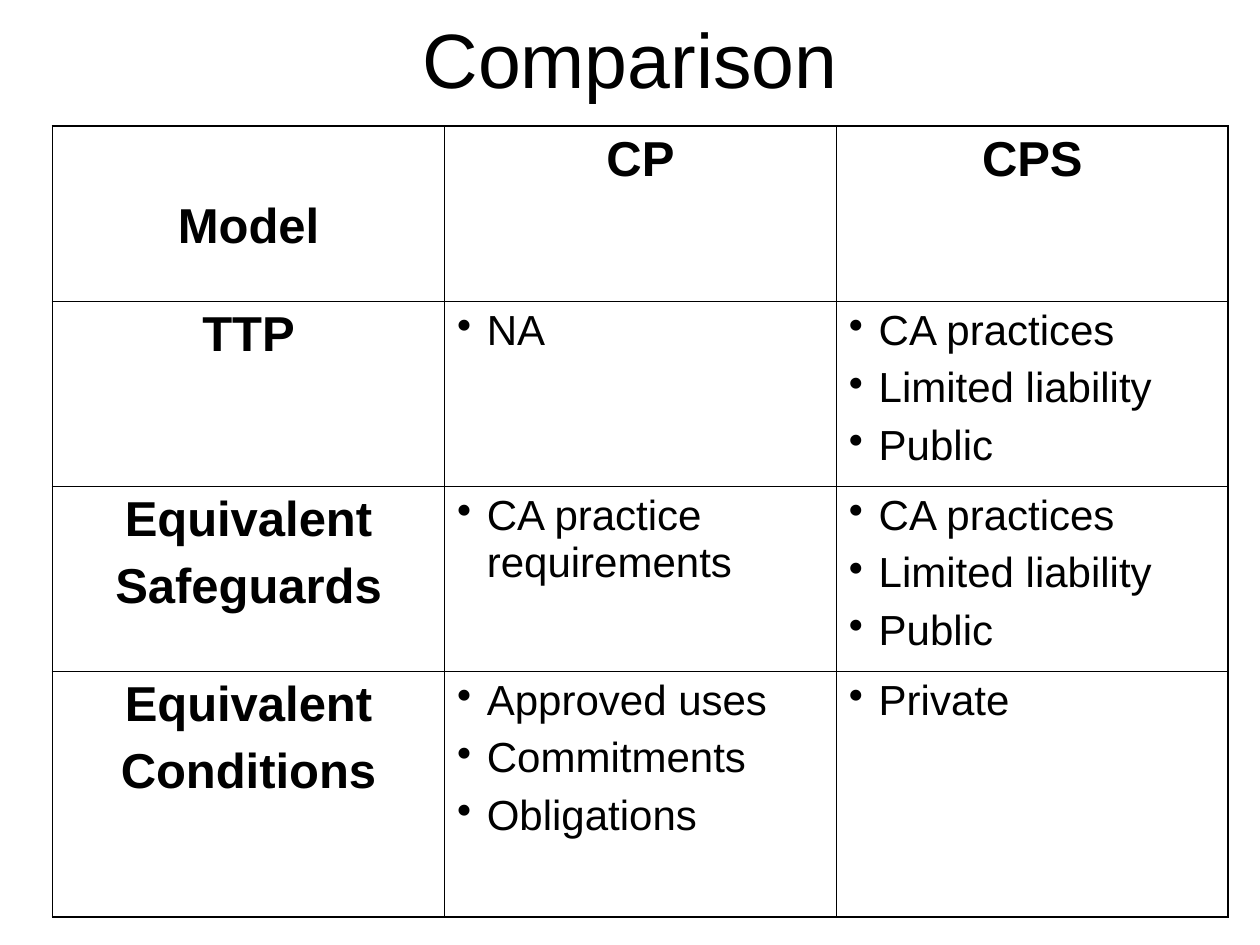
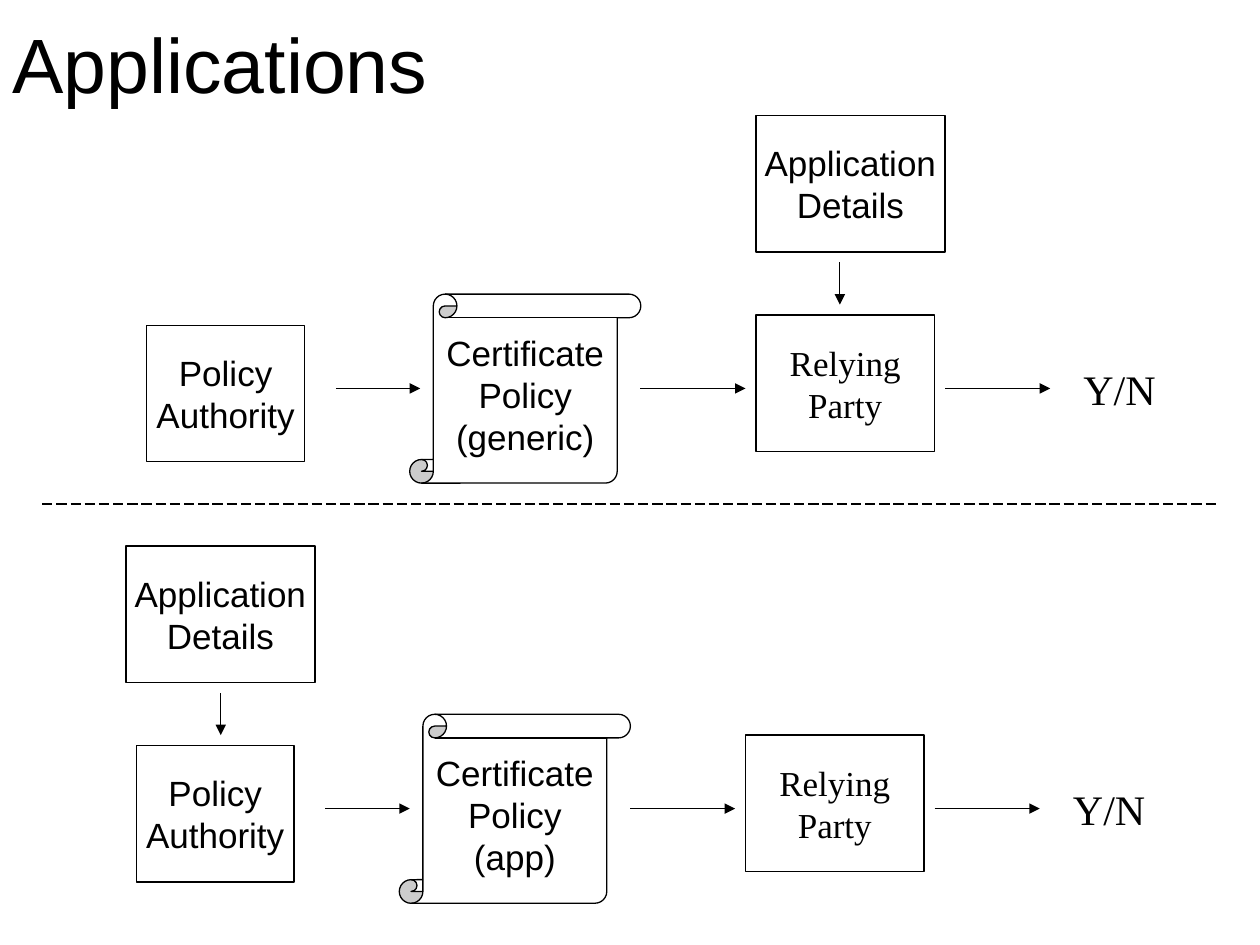
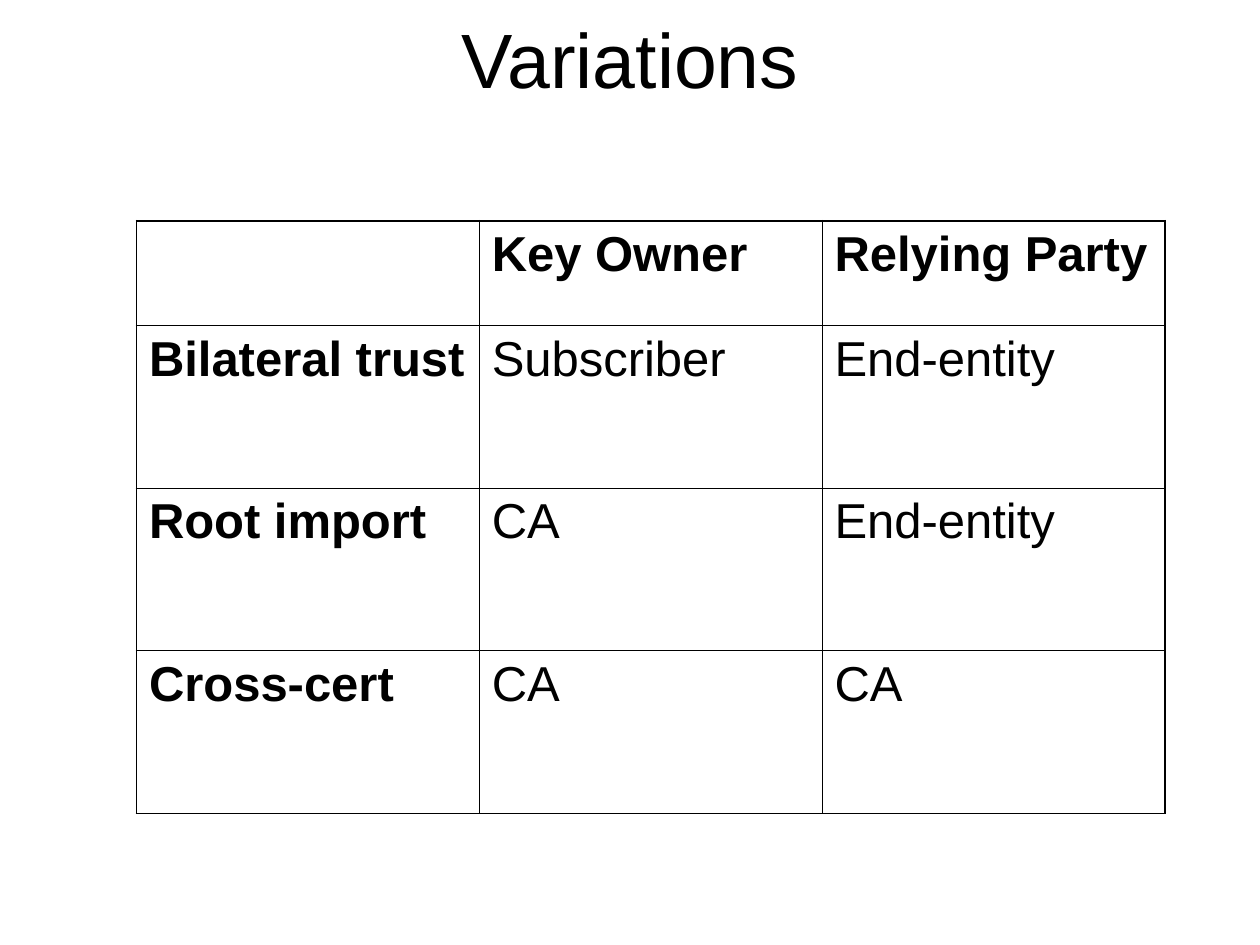
from lxml.etree import SubElement
from pptx import Presentation
from pptx.dml.color import RGBColor
from pptx.enum.dml import MSO_LINE_DASH_STYLE as Dash
from pptx.enum.shapes import MSO_CONNECTOR as Connector, MSO_SHAPE as Shape
from pptx.enum.text import MSO_ANCHOR as Anchor, PP_ALIGN as Align
from pptx.oxml.ns import qn
from pptx.util import Cm, Pt

BLACK, WHITE = "000000", "FFFFFF"
SANS, SERIF = "Arial", "Times New Roman"
OUTER_BORDER, INNER_BORDER = 1.08, 0.45

# Content: a list in a cell holds its paragraphs
COMPARISON = [
    [["Model"], ["CP"], ["CPS"]],
    [["TTP"], ["NA"], ["CA practices", "Limited liability", "Public"]],
    [["Equivalent", "Safeguards"], ["CA practice requirements"],
     ["CA practices", "Limited liability", "Public"]],
    [["Equivalent", "Conditions"],
     ["Approved uses", "Commitments", "Obligations"], ["Private"]],
]
VARIATIONS = [
    [[], ["Key Owner"], ["Relying Party"]],
    [["Bilateral trust"], ["Subscriber"], ["End-entity"]],
    [["Root import"], ["CA"], ["End-entity"]],
    [["Cross-cert"], ["CA"], ["CA"]],
]

# One decision flow, in cm: kind, text, font, left, top, width, height
FLOW_PARTS = [
    (Shape.RECTANGLE, "Policy\nAuthority", SANS, 2.96, 6.56, 3.18, 2.75),
    (Shape.VERTICAL_SCROLL, "Certificate\nPolicy\n({})", SANS, 8.26, 5.93, 4.66, 3.81),
    (Shape.RECTANGLE, "Relying\nParty", SERIF, 15.24, 6.35, 3.6, 2.75),
]
FLOW_ARROWS = [(6.77, 8.47), (12.91, 15.03), (19.05, 21.17)]
FLOW_ARROW_Y = 7.83

# Each flow: policy scope, shift right, shift down, details left, top, arrow x
FLOWS = [
    ("generic", 0, 0, 15.24, 2.33, 16.93),
    ("app", -0.21, 8.47, 2.54, 11.01, 4.45),
]


def color(value):
    return RGBColor.from_string(value)


def format_text(text_frame, size, font=SANS, align=Align.LEFT, bold=False, space=0):
    for index, paragraph in enumerate(text_frame.paragraphs):
        paragraph.alignment = align
        paragraph.space_before = Pt(space if index else 0)
        for run in paragraph.runs:
            run.font.size, run.font.name, run.font.bold = Pt(size), font, bold
            run.font.color.rgb = color(BLACK)


def add_text(slide, text, box, size, font=SANS, align=Align.LEFT, anchor=Anchor.TOP):
    text_frame = slide.shapes.add_textbox(*map(Cm, box)).text_frame
    text_frame.word_wrap = True
    text_frame.vertical_anchor = anchor
    text_frame.text = text
    format_text(text_frame, size, font, align)


def add_slide(presentation, title, box=(1.91, 0, 21.59, 2.33), align=Align.CENTER):
    slide = presentation.slides.add_slide(presentation.slide_layouts[6])
    add_text(slide, title, box, 44, align=align, anchor=Anchor.MIDDLE)
    return slide


# Tables
def add_bullets(text_frame):
    for paragraph in text_frame.paragraphs:
        properties = paragraph._p.get_or_add_pPr()
        properties.set("marL", str(Cm(0.6)))
        properties.set("indent", str(-Cm(0.6)))
        SubElement(properties, qn("a:buChar")).set("char", "•")


def set_borders(cell, outer_sides):
    properties = cell._tc.get_or_add_tcPr()
    for side in "LRTB":
        width = OUTER_BORDER if side in outer_sides else INNER_BORDER
        line = SubElement(properties, qn(f"a:ln{side}"), w=str(Pt(width)))
        fill = SubElement(line, qn("a:solidFill"))
        SubElement(fill, qn("a:srgbClr"), val=BLACK)


def add_grid(slide, rows, left, top, column_width, row_heights, bulleted):
    last_row, last_column = len(rows) - 1, len(rows[0]) - 1
    table = slide.shapes.add_table(
        len(rows), len(rows[0]), Cm(left), Cm(top),
        Cm(column_width * len(rows[0])), Cm(sum(row_heights))).table
    table.first_row = table.horz_banding = False
    for column in table.columns:
        column.width = Cm(column_width)
    for r, (row, height) in enumerate(zip(rows, row_heights)):
        table.rows[r].height = Cm(height)
        for c, lines in enumerate(row):
            cell = table.cell(r, c)
            sides = (("T", r == 0), ("B", r == last_row),
                     ("L", c == 0), ("R", c == last_column))
            set_borders(cell, [side for side, outer in sides if outer])
            cell.fill.background()
            cell.text_frame.text = "\n".join(lines)
            heading = r == 0 or c == 0
            if bulleted and not heading:
                add_bullets(cell.text_frame)
                format_text(cell.text_frame, 24, space=6)
            else:
                align = Align.CENTER if bulleted else Align.LEFT
                format_text(cell.text_frame, 28, align=align, bold=heading, space=7)
    return table


# Diagram
def add_part(slide, kind, text, font, *box):
    shape = slide.shapes.add_shape(kind, *map(Cm, box))
    shape.shadow.inherit = False
    shape.fill.solid()
    shape.fill.fore_color.rgb = color(WHITE)
    shape.line.color.rgb = color(BLACK)
    shape.line.width = Pt(0.75)
    shape.text_frame.word_wrap = False
    shape.text_frame.vertical_anchor = Anchor.MIDDLE
    shape.text_frame.text = text
    format_text(shape.text_frame, 20, font, Align.CENTER)


def add_line(slide, *ends, dashed=False):
    connector = slide.shapes.add_connector(Connector.STRAIGHT, *map(Cm, ends))
    connector.line.color.rgb = color(BLACK)
    connector.line.width = Pt(0.75)
    if dashed:
        connector.line.dash_style = Dash.LONG_DASH
    else:
        SubElement(connector.line._get_or_add_ln(), qn("a:tailEnd"), type="triangle")
    SubElement(connector._element.spPr, qn("a:effectLst"))


def add_flow(slide, scope, right, down, details_left, details_top, arrow_x):
    for kind, text, font, left, top, width, height in FLOW_PARTS:
        add_part(slide, kind, text.format(scope), font,
                 left + right, top + down, width, height)
    y = FLOW_ARROW_Y + down
    for start, end in FLOW_ARROWS:
        add_line(slide, start + right, y, end + right, y)
    add_part(slide, Shape.RECTANGLE, "Application\nDetails", SANS,
             details_left, details_top, 3.81, 2.75)
    add_line(slide, arrow_x, details_top + 2.96, arrow_x, details_top + 3.81)
    add_text(slide, "Y/N", (21.59 + right, 7.2 + down, 2.12, 1.27), 24, SERIF)


def main():
    presentation = Presentation()
    presentation.slide_width, presentation.slide_height = Cm(25.4), Cm(19.05)

    slide = add_slide(presentation, "Comparison")
    table = add_grid(slide, COMPARISON, 1.06, 2.54, 7.9,
                     [3.53, 3.73, 3.73, 4.95], bulleted=True)
    table.cell(0, 0).margin_top = Cm(1.48)  # "Model" sits one line lower

    slide = add_slide(presentation, "Applications", (0, 0, 22.01, 2.54), Align.LEFT)
    for flow in FLOWS:
        add_flow(slide, *flow)
    add_line(slide, 0.85, 10.16, 24.55, 10.16, dashed=True)

    slide = add_slide(presentation, "Variations")
    add_grid(slide, VARIATIONS, 2.75, 4.45, 6.91,
             [2.11, 3.28, 3.28, 3.28], bulleted=False)

    presentation.save("out.pptx")


if __name__ == "__main__":
    main()
